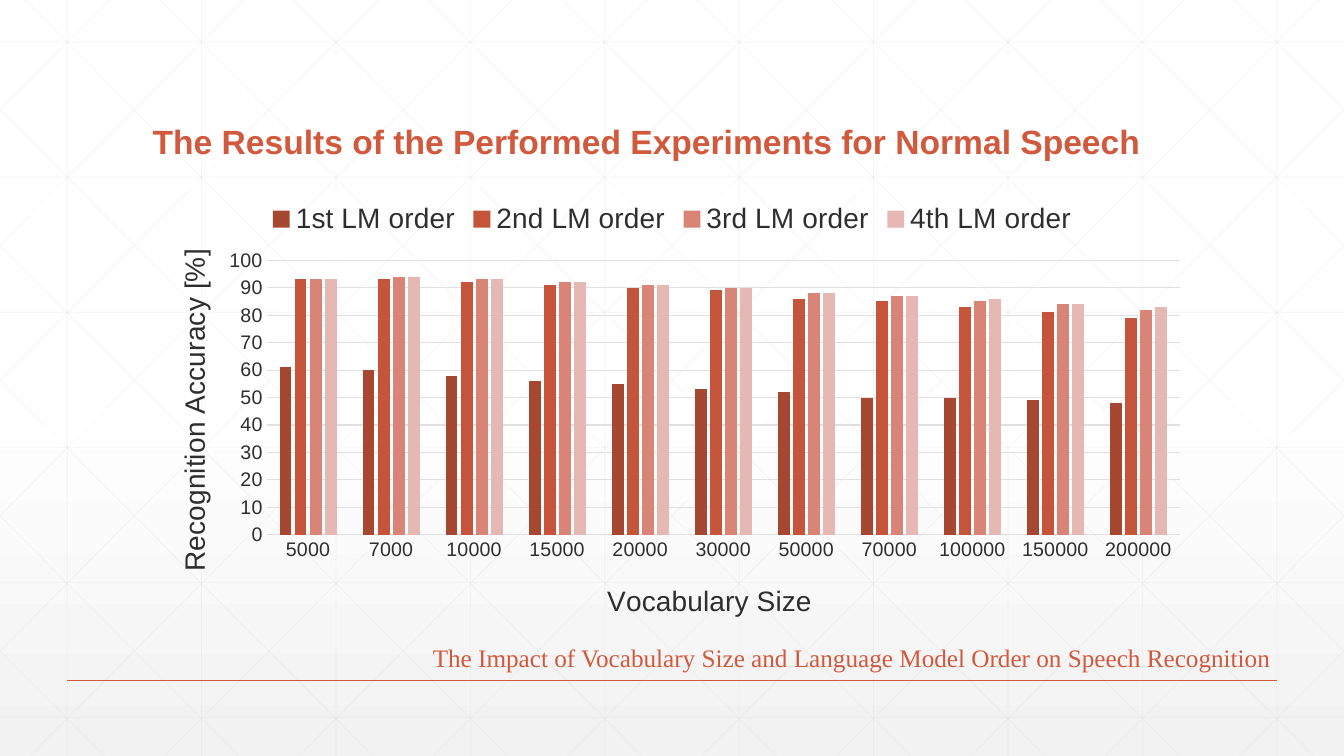
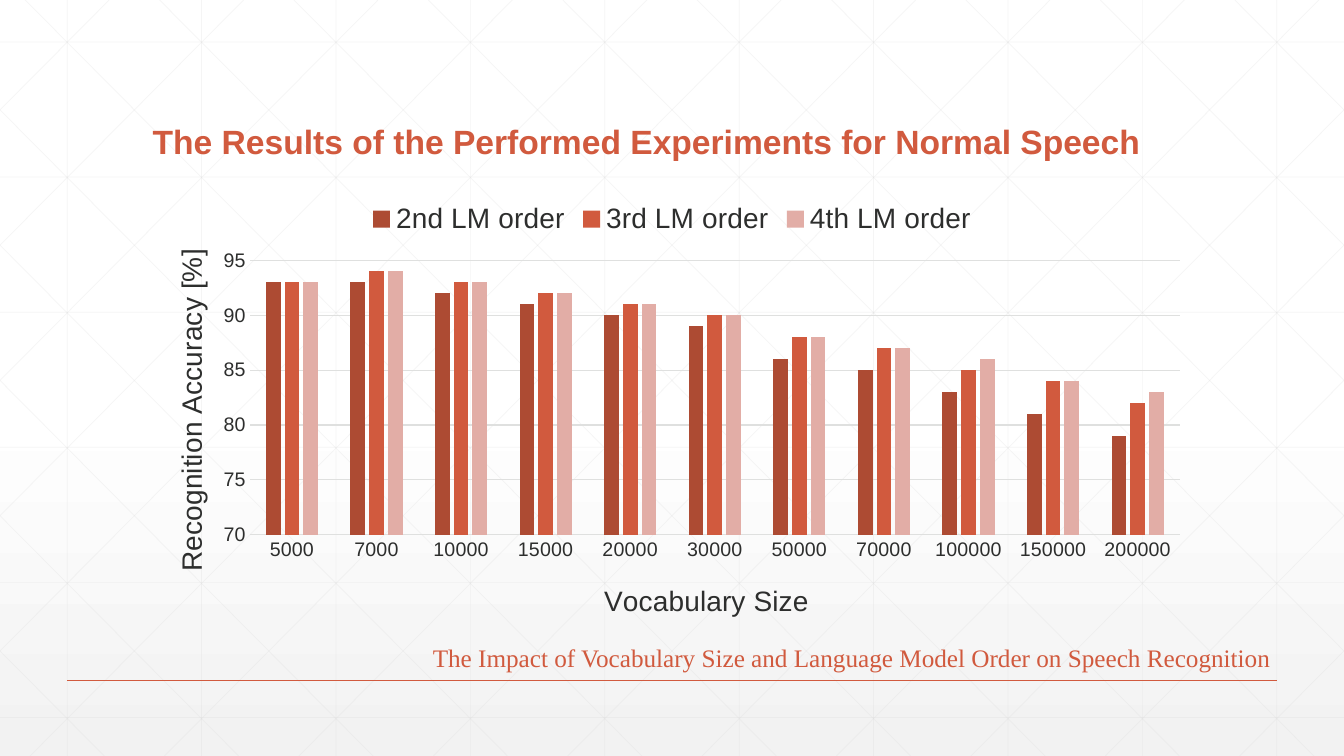
"""Two chart slides on vocabulary size and recognition accuracy."""
from lxml.etree import SubElement as Sub
from pptx import Presentation
from pptx.chart.data import CategoryChartData as Data
from pptx.dml.color import RGBColor as RGB
from pptx.enum.chart import XL_CHART_TYPE as Kind, XL_LEGEND_POSITION as Spot, XL_TICK_MARK as Tick
from pptx.enum.shapes import MSO_CONNECTOR as Link
from pptx.enum.text import MSO_ANCHOR as Anchor, PP_ALIGN as Align
from pptx.oxml.ns import qn
from pptx.util import Pt

WIDE, HIGH = 960, 540
STEP, ROW = 96, 96.5
RUN = 536.5
RATE = RUN / HIGH


def tint(part, code):
    part.rgb = RGB.from_string(code)


def place(node, index, **sides):
    lay = node.find(qn("c:layout"))
    if lay is None:
        lay = node.makeelement(qn("c:layout"))
        node.insert(index, lay)
    box = Sub(lay, qn("c:manualLayout"))
    if "w" in sides:
        Sub(box, qn("c:layoutTarget")).set("val", "inner")
    for mode in ("xMode", "yMode"):
        Sub(box, qn("c:" + mode)).set("val", "edge")
    for side, size in sides.items():
        Sub(box, qn("c:" + side)).set("val", str(size))


class Deck:
    accent, ink, pale, mesh = "D15A3E", "2D2E2D", "DFE0DF", "D9D9D9"
    sans, serif, base = "Arial", "Times New Roman", "Noto Sans CJK SC"

    def __init__(self):
        self.show = Presentation()
        self.show.slide_width, self.show.slide_height = Pt(WIDE), Pt(HIGH)
        self.slide = None

    def page(self, title):
        self.slide = self.show.slides.add_slide(self.show.slide_layouts[6])
        self.fade()
        self.grid()
        self.line(48, 486, 912, 486, self.accent, 1)
        self.text((41, 455, 878.4, 38),
                  [("The Impact of Vocabulary Size and Language Model Order on Speech Recognition ",
                    18, self.serif, False)], align=Align.RIGHT)
        self.text((102, 75, 756, 44), [(title, 24, self.sans, True)],
                  anchor=Anchor.BOTTOM, space=0.9)

    def fade(self):
        fill = self.slide.background.fill
        fill.gradient()
        fill.gradient_angle = 270
        stops = next(self.slide._element.iter(qn("a:gsLst")))
        for stop in list(stops):
            stops.remove(stop)
        for pos, code in ((0, "FFFFFF"), (53, "FFFFFF"), (100, "F2F2F2")):
            stop = Sub(stops, qn("a:gs"), pos=str(pos * 1000))
            Sub(stop, qn("a:srgbClr"), val=code)

    def grid(self):
        for i in range(10):
            self.line(48 + STEP * i, 0, 48 + STEP * i, HIGH, self.mesh, 0.5, 25)
        for i in range(6):
            self.line(0, 30 + ROW * i, WIDE, 30 + ROW * i, self.mesh, 0.5, 25)
        for i in range(-5, 10):
            start = 18 + STEP * i
            left, right = max(start, 0), min(start + RUN, WIDE)
            top, low = (left - start) / RATE, (right - start) / RATE
            self.line(left, top, right, low, self.mesh, 0.5, 25)
            self.line(WIDE - left, top, WIDE - right, low, self.mesh, 0.5, 25)

    def line(self, left, top, right, low, code, width, alpha=100):
        ends = [Pt(end) for end in (left, top, right, low)]
        rule = self.slide.shapes.add_connector(Link.STRAIGHT, *ends)
        rule.line.width = Pt(width)
        rule.line.fill.solid()
        tint(rule.line.color, code)
        if alpha < 100:
            shade = next(rule._element.iter(qn("a:srgbClr")))
            Sub(shade, qn("a:alpha"), val=str(alpha * 1000))
        Sub(rule._element.spPr, qn("a:effectLst"))

    def text(self, box, runs, align=Align.LEFT, anchor=Anchor.TOP, space=1.0):
        frame = self.slide.shapes.add_textbox(*[Pt(side) for side in box]).text_frame
        frame.word_wrap = True
        frame.vertical_anchor = anchor
        para = frame.paragraphs[0]
        para.alignment, para.line_spacing = align, space
        for words, size, face, bold in runs:
            self.add(para, words, size, face, self.accent, bold)

    def add(self, para, words, size, face, code, bold=False):
        run = para.add_run()
        run.text = words
        self.font(run.font, size, face, code, bold)

    def font(self, font, size, face, code, bold=False):
        font.size, font.name, font.bold = Pt(size), face, bold
        tint(font.color, code)

    def axis(self, axis, words, left, top):
        axis.major_tick_mark = axis.minor_tick_mark = Tick.NONE
        self.font(axis.tick_labels.font, 14, self.sans, self.ink)
        frame = axis.axis_title.text_frame
        self.add(frame.paragraphs[0], words, 20, self.sans, self.ink)
        place(axis.axis_title._element, 1, x=left, y=top)
        return frame

    def stroke(self, line):
        line.width = Pt(0.75)
        line.fill.solid()
        tint(line.color, self.pale)

    def chart(self, cats, series, span, plot, names):
        data = Data(number_format="0")
        data.categories = cats
        for name, vals, _ in series:
            data.add_series(name, vals)
        box = [Pt(side) for side in (102, 136, 756, 318)]
        chart = self.slide.shapes.add_chart(Kind.COLUMN_CLUSTERED, *box, data).chart
        self.font(chart.font, 10, self.base, self.ink)
        chart.has_title = False
        chart.has_legend = True
        chart.legend.position = Spot.TOP
        chart.legend.include_in_layout = False
        self.font(chart.legend.font, 20, self.sans, self.ink)

        bars = chart.plots[0]
        bars.gap_width, bars.overlap, bars.vary_by_categories = 219, -27, False
        for item, (_, _, code) in zip(bars.series, series):
            item.format.fill.solid()
            tint(item.format.fill.fore_color, code)

        low, high, unit = span
        cat, val = chart.category_axis, chart.value_axis
        self.axis(cat, "Vocabulary Size", names[0], 0.87)
        self.stroke(cat.format.line)
        frame = self.axis(val, "Recognition Accuracy [%]", names[1], 0.12)
        frame._txBody.bodyPr.set("rot", "-5400000")
        frame._txBody.bodyPr.set("vert", "horz")
        val.minimum_scale, val.maximum_scale, val.major_unit = low, high, unit
        val.format.line.fill.background()
        self.stroke(val.major_gridlines.format.line)
        left, width = plot
        area = next(chart._chartSpace.iter(qn("c:plotArea")))
        place(area, 0, x=left, y=0.157, w=width, h=0.617)


TITLE = "The Results of the Performed Experiments for Normal Speech"
SIZES = ["5000", "7000", "10000", "15000", "20000", "30000",
         "50000", "70000", "100000", "150000", "200000"]
ORDERS = {
    "1st LM order": [61, 60, 58, 56, 55, 53, 52, 50, 50, 49, 48],
    "2nd LM order": [93, 93, 92, 91, 90, 89, 86, 85, 83, 81, 79],
    "3rd LM order": [93, 94, 93, 92, 91, 90, 88, 87, 85, 84, 82],
    "4th LM order": [93, 94, 93, 92, 91, 90, 88, 87, 86, 84, 83],
}
VIEWS = [
    (["A54731", "C4543A", "D88477", "E6B8B3"], (0, 100, 10), (0.117, 0.863), (0.434, 0.027)),
    (["AD4B33", "D15A3E", "E2ADA6"], (70, 95, 5), (0.101, 0.879), (0.431, 0.024)),
]

deck = Deck()
for codes, span, plot, names in VIEWS:
    deck.page(TITLE)
    rows = list(ORDERS.items())[-len(codes):]
    series = [(name, vals, code) for (name, vals), code in zip(rows, codes)]
    deck.chart(SIZES, series, span, plot, names)
deck.show.save("out.pptx")
